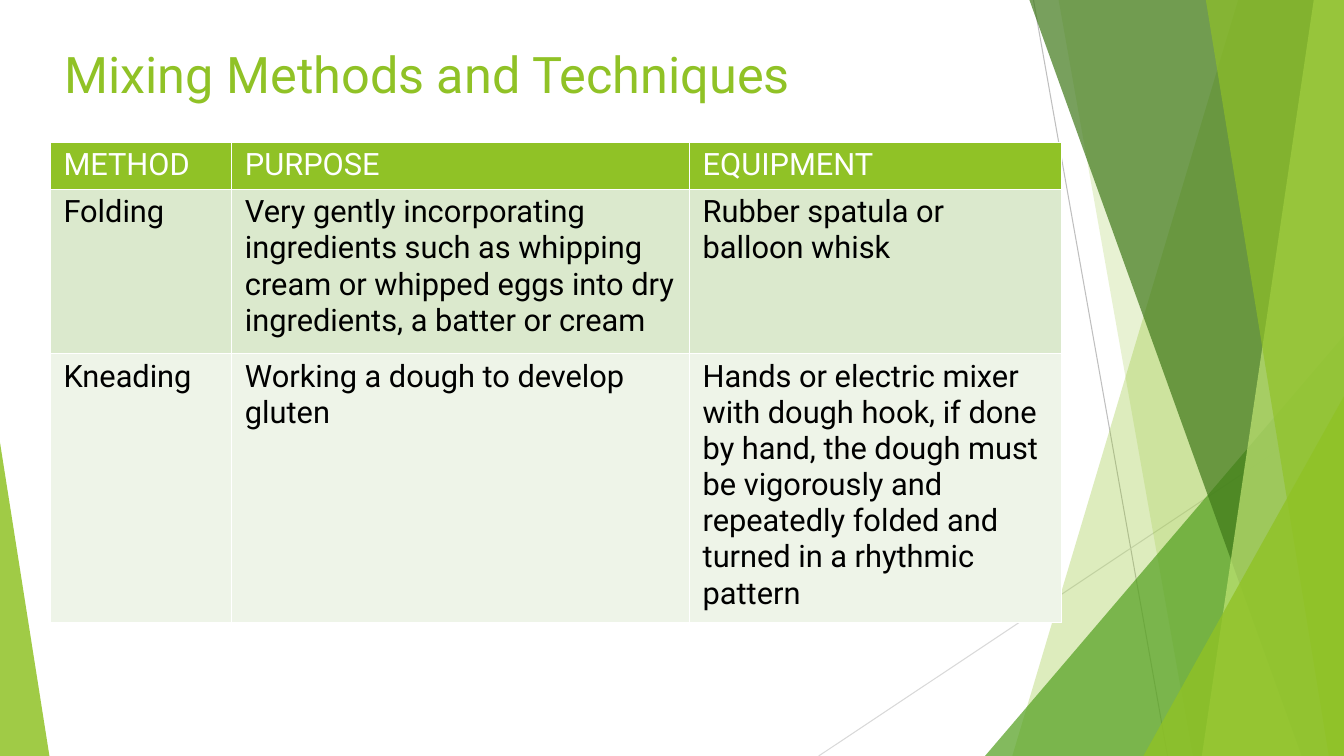
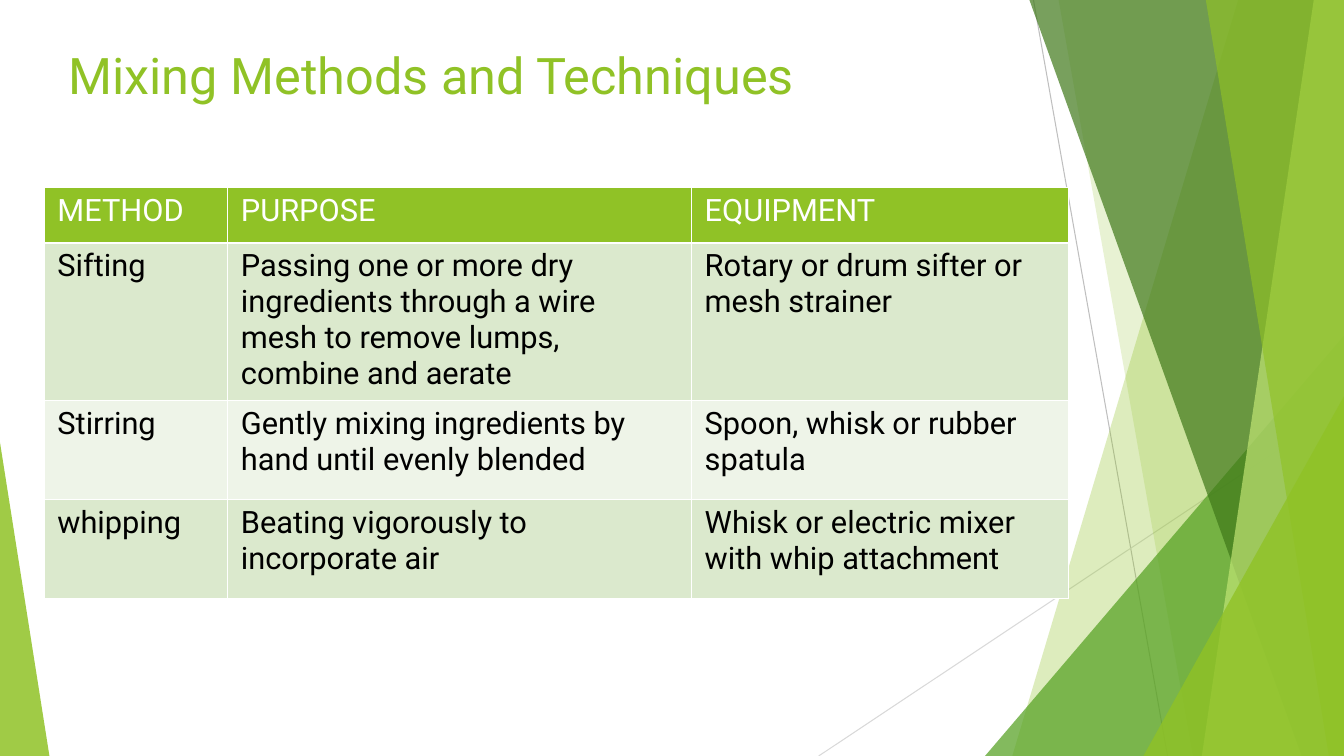
from lxml.etree import SubElement
from pptx import Presentation
from pptx.dml.color import RGBColor
from pptx.enum.shapes import MSO_CONNECTOR, MSO_SHAPE
from pptx.enum.text import MSO_ANCHOR
from pptx.oxml.ns import qn
from pptx.util import Inches, Pt

WHITE = RGBColor(0xFF, 0xFF, 0xFF)
BLACK = RGBColor(0x00, 0x00, 0x00)
LIME = RGBColor(0x90, 0xC2, 0x26)
PALE_LIME = RGBColor(0xC0, 0xE4, 0x74)
GREEN = RGBColor(0x54, 0xA0, 0x21)
FOREST = RGBColor(0x3F, 0x78, 0x19)
GREY = RGBColor(0xBF, 0xBF, 0xBF)
LIGHT_GREY = RGBColor(0xD9, 0xD9, 0xD9)
BAND_DARK = RGBColor(0xDB, 0xE9, 0xCD)
BAND_LIGHT = RGBColor(0xEE, 0xF4, 0xE8)

WIDTH, HEIGHT = 13.33, 7.5
TITLE = "Mixing Methods and Techniques"
HEADINGS = ("METHOD", "PURPOSE", "EQUIPMENT")
TITLE_FONT = {"name": "Roboto", "size": Pt(36)}
TABLE_FONT = {"name": "Roboto", "size": Pt(22)}
TITLE_FRAME = {"word_wrap": True, "vertical_anchor": MSO_ANCHOR.MIDDLE}
CELL_MARGINS = {
    "margin_left": Inches(0.13), "margin_right": Inches(0.13),
    "margin_top": Inches(0.05), "margin_bottom": Inches(0.05),
}

RAYS = (
    ((10.25, 0), (11.58, HEIGHT), GREY),
    ((WIDTH, 4.03), (8.12, HEIGHT), LIGHT_GREY),
)
FACETS = (
    ("panel", 12.28, 10.04, LIME, 30),
    ("panel", 10.5, 11.83, LIME, 20),
    ("triangle", (9.77, 3.33, 3.56), 1, GREEN, 72),
    ("panel", 10.21, 12.91, FOREST, 70),
    ("panel", 13.03, 11.92, PALE_LIME, 70),
    ("panel", 11.96, 13.18, LIME, 65),
    ("triangle", (11.34, 3.93, 1.99), 1, LIME, 80),
    ("triangle", (0, 4.39, 0.49), 0, LIME, 85),
)

SLIDES = (
    {
        "title_at": (0.54, 0.33),
        "table_at": (0.5, 1.41),
        "columns": (1.8, 4.54, 3.69),
        "heights": (0.46, 1.63, 2.61),
        "rows": (
            ("Folding",
             "Very gently incorporating ingredients such as whipping cream "
             "or whipped eggs into dry ingredients, a batter or cream",
             "Rubber spatula or balloon whisk"),
            ("Kneading",
             "Working a dough to develop gluten",
             "Hands or electric mixer with dough hook, if done by hand, the "
             "dough must be vigorously and repeatedly folded and turned in "
             "a rhythmic pattern"),
        ),
    },
    {
        "title_at": (0.58, 0.34),
        "table_at": (0.44, 1.86),
        "columns": (1.82, 4.6, 3.74),
        "heights": (0.55, 1.53, 0.98, 0.98),
        "rows": (
            ("Sifting",
             "Passing one or more dry ingredients through a wire mesh to "
             "remove lumps, combine and aerate",
             "Rotary or drum sifter or mesh strainer"),
            ("Stirring",
             "Gently mixing ingredients by hand until evenly blended",
             "Spoon, whisk or rubber spatula"),
            ("whipping",
             "Beating vigorously to incorporate air",
             "Whisk or electric mixer with whip attachment"),
        ),
    },
)


def apply_format(target, values):
    """Set each named attribute of the target."""
    for name, value in values.items():
        setattr(target, name, value)


def write_text(para, text, font, color):
    """Add one formatted span to a paragraph."""
    span = para.add_run()
    span.text = text
    apply_format(span.font, font)
    span.font.color.rgb = color


def paint_facet(shape, color, opacity):
    """Give a shape a see-through fill without line or shadow."""
    shape.shadow.inherit = False
    shape.line.fill.background()
    shape.fill.solid()
    shape.fill.fore_color.rgb = color
    tint = shape.fill._xPr.find(qn("a:solidFill"))[0]
    SubElement(tint, qn("a:alpha"), val=str(opacity * 1000))


def add_ray(page, start, end, color):
    """Draw a thin background line."""
    points = [Inches(value) for value in (*start, *end)]
    ray = page.shapes.add_connector(MSO_CONNECTOR.STRAIGHT, *points)
    ray.line.color.rgb = color
    ray.line.width = Pt(0.75)
    SubElement(ray._element.spPr, qn("a:effectLst"))


def add_panel(page, top_left, bottom_left):
    """Build a full-height panel with a slanted left side."""
    corners = [(top_left, 0), (WIDTH, 0), (WIDTH, HEIGHT), (bottom_left, HEIGHT)]
    points = [(Inches(x), Inches(y)) for x, y in corners]
    builder = page.shapes.build_freeform(*points[0])
    builder.add_line_segments(points[1:], close=True)
    return builder.convert_to_shape()


def add_triangle(page, box, apex):
    """Stand a right triangle on the bottom edge."""
    left, top, width = box
    lengths = [Inches(value) for value in (left, top, width, HEIGHT - top)]
    triangle = page.shapes.add_shape(MSO_SHAPE.ISOSCELES_TRIANGLE, *lengths)
    triangle.adjustments[0] = apex
    return triangle


def add_backdrop(page):
    """Draw the shared rays and green facets."""
    for ray in RAYS:
        add_ray(page, *ray)
    builders = {"panel": add_panel, "triangle": add_triangle}
    for kind, first, second, color, opacity in FACETS:
        paint_facet(builders[kind](page, first, second), color, opacity)


def add_title(page, left, top):
    """Place the slide title."""
    box = page.shapes.add_textbox(Inches(left), Inches(top), Inches(11.33), Inches(0.87))
    apply_format(box.text_frame, TITLE_FRAME)
    para = box.text_frame.paragraphs[0]
    para.line_spacing = 0.9
    write_text(para, TITLE, TITLE_FONT, LIME)


def style_cell(cell, fill):
    """Give a cell white borders, margins and a fill."""
    properties = cell._tc.get_or_add_tcPr()
    for side in ("lnL", "lnR", "lnT", "lnB"):
        border = SubElement(properties, qn(f"a:{side}"), w=str(Pt(1)))
        paint = SubElement(border, qn("a:solidFill"))
        SubElement(paint, qn("a:srgbClr"), val=str(WHITE))
    apply_format(cell, CELL_MARGINS)
    cell.fill.solid()
    cell.fill.fore_color.rgb = fill


def add_method_table(page, left, top, columns, heights, rows):
    """Place the table of methods with banded rows."""
    frame = page.shapes.add_table(
        len(heights), len(columns), Inches(left), Inches(top),
        Inches(sum(columns)), Inches(sum(heights)))
    table = frame.table
    for column, width in zip(table.columns, columns):
        column.width = Inches(width)
    for index, texts in enumerate((HEADINGS, *rows)):
        table.rows[index].height = Inches(heights[index])
        band = BAND_DARK if index % 2 else BAND_LIGHT
        fill, color = (band, BLACK) if index else (LIME, WHITE)
        for cell, text in zip(table.rows[index].cells, texts):
            style_cell(cell, fill)
            write_text(cell.text_frame.paragraphs[0], text, TABLE_FONT, color)


def add_method_slide(deck, content):
    """Add one slide of mixing methods."""
    page = deck.slides.add_slide(deck.slide_layouts[6])
    add_backdrop(page)
    add_title(page, *content["title_at"])
    add_method_table(page, *content["table_at"], content["columns"],
                     content["heights"], content["rows"])


def main():
    """Build and save the deck."""
    deck = Presentation()
    deck.slide_width, deck.slide_height = Inches(WIDTH), Inches(HEIGHT)
    for content in SLIDES:
        add_method_slide(deck, content)
    deck.save("out.pptx")


if __name__ == "__main__":
    main()
